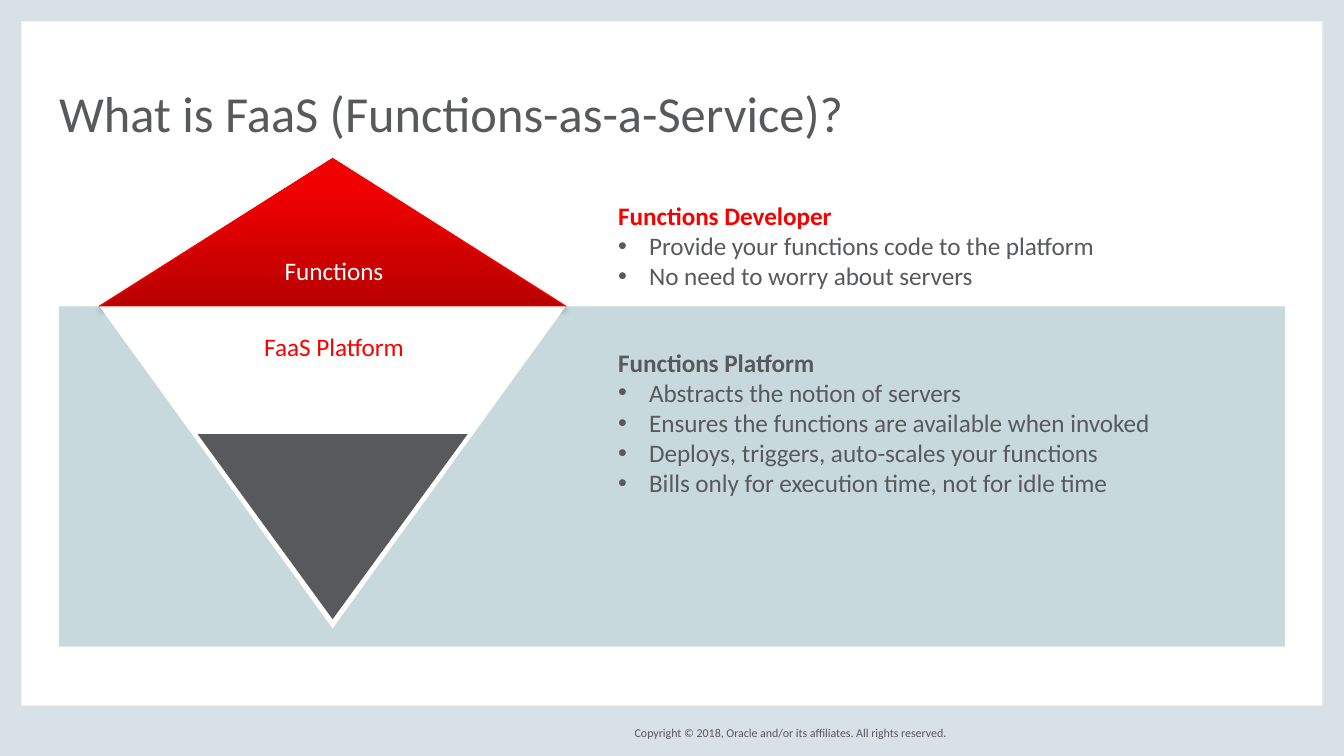
from lxml.etree import SubElement as Sub
from pptx import Presentation
from pptx.dml.color import RGBColor as RGB
from pptx.enum.shapes import MSO_SHAPE as Kind
from pptx.enum.text import MSO_ANCHOR as Anchor, PP_ALIGN as Align
from pptx.oxml.ns import qn
from pptx.util import Inches, Pt

HUE = {"frame": "D8E1E6", "band": "C8D9DE", "text": "58595B", "red": "F80000",
       "edge": "F30000", "deep": "B90000", "glow": "F00000", "white": "FFFFFF"}

deck = Presentation()
deck.slide_width, deck.slide_height = Inches(10), Inches(5.625)
slide = deck.slides.add_slide(deck.slide_layouts[3])
shapes = slide.shapes


def area(x, y, w, h):
    """Turn percentages of the slide's size into lengths."""
    wide, high = deck.slide_width / 100, deck.slide_height / 100
    return [int(n) for n in (x * wide, y * high, w * wide, h * high)]


def style(para, size, hue, bold=False, align=Align.LEFT):
    para.alignment = align
    font = para.font
    font.name, font.size, font.bold = "Calibri", Pt(size), bold
    font.color.rgb = RGB.from_string(HUE[hue])


# Frame, band and diamond, from back to front
tip = 40.53  # row where the two halves of the diamond meet
plain = [
    (Kind.RECTANGLE, (0, 0, 1.6, 100), "frame"),
    (Kind.RECTANGLE, (98.4, 0, 1.6, 100), "frame"),
    (Kind.RECTANGLE, (0, 93.33, 100, 6.67), "frame"),
    (Kind.RECTANGLE, (0, 0, 100, 2.84), "frame"),
    (Kind.RECTANGLE, (4.4, tip, 91.2, 45), "band"),
    (Kind.ISOSCELES_TRIANGLE, (7.4, 21, 34.7, tip - 21), "red"),
    (Kind.ISOSCELES_TRIANGLE, (7.4, tip, 34.7, 42.6), "white"),
]
for kind, place, hue in plain:
    part = shapes.add_shape(kind, *area(*place))
    part.shadow.inherit = False
    part.line.fill.background()
    part.fill.solid()
    part.fill.fore_color.rgb = RGB.from_string(HUE[hue])
    if hue == "red":
        top = part
part.element.spPr.find(qn("a:xfrm")).set("flipV", "1")

top.fill.gradient()
top.fill.gradient_angle = 90
for stop, hue, at in zip(top.fill.gradient_stops, ("deep", "glow"), (0, 0.8)):
    stop.color.rgb = RGB.from_string(HUE[hue])
    stop.position = at
top.line.color.rgb = RGB.from_string(HUE["edge"])
top.line.width = Pt(0.75)
shade = Sub(top.element.spPr.find(qn("a:effectLst")), qn("a:outerShdw"),
            blurRad=str(Pt(3.1)), dist=str(Pt(1.8)), dir="5400000", rotWithShape="0")
Sub(Sub(shade, qn("a:srgbClr"), val="000000"), qn("a:alpha"), val="35000")

left, upper, width, depth = area(14.7, 57.42, 20.1, 24.5)
build = shapes.build_freeform(left, upper)
build.add_line_segments([(left + width // 2, upper + depth), (left + width, upper)])
core = build.convert_to_shape()
core.shadow.inherit = False
core.line.fill.background()
core.fill.solid()
core.fill.fore_color.rgb = RGB.from_string(HUE["text"])

# Diamond labels and copyright line
for text, place, size, hue, align in [
    ("Functions", (13.3, 32.9, 23.1, 5.87), 13.5, "white", Align.CENTER),
    ("FaaS Platform", (13.3, 43, 23.1, 5.87), 13.5, "red", Align.CENTER),
    ("Copyright © 2018, Oracle and/or its affiliates. All rights reserved.",
     (44.1, 95.64, 26.3, 2.67), 6.4, "text", Align.RIGHT),
]:
    frame = shapes.add_textbox(*area(*place)).text_frame
    frame.word_wrap = align == Align.CENTER
    frame.text = text
    style(frame.paragraphs[0], size, hue, align=align)
frame.vertical_anchor = Anchor.MIDDLE
frame.margin_left = frame.margin_right = frame.margin_top = frame.margin_bottom = 0

# Title
title = shapes.title
title.left, title.top, title.width, title.height = area(4.4, 5.87, 91.3, 13)
frame = title.text_frame
frame.text = "What is FaaS (Functions-as-a-Service)?"
frame.vertical_anchor = Anchor.BOTTOM
frame.margin_left = frame.margin_right = frame.margin_top = frame.margin_bottom = 0
frame.paragraphs[0].line_spacing = 0.8
style(frame.paragraphs[0], 27, "text")

# Lists, raised above the band
lists = [
    (1, (45, 25.6, 46.3, 13.87), "red",
     ["Functions Developer",
      "Provide your functions code to the platform",
      "No need to worry about servers"]),
    (2, (45, 45, 46.3, 22), "text",
     ["Functions Platform",
      "Abstracts the notion of servers",
      "Ensures the functions are available when invoked",
      "Deploys, triggers, auto-scales your functions",
      "Bills only for execution time, not for idle time"]),
]
for idx, place, hue, lines in lists:
    body = slide.placeholders[idx]
    body.left, body.top, body.width, body.height = area(*place)
    shapes.element.append(body.element)
    body.text_frame.text = "\n".join(lines)
    for row, para in enumerate(body.text_frame.paragraphs):
        para.space_before = Pt(0)
        props = para._p.get_or_add_pPr()
        inset = Inches(0.23) if row else 0
        props.set("marL", str(inset))
        props.set("indent", str(-inset))
        if row:
            Sub(props, qn("a:buFont"), typeface="Arial")
            Sub(props, qn("a:buChar"), char="•")
        else:
            Sub(props, qn("a:buNone"))
        style(para, 13.5, "text" if row else hue, bold=row == 0)

deck.save("out.pptx")
